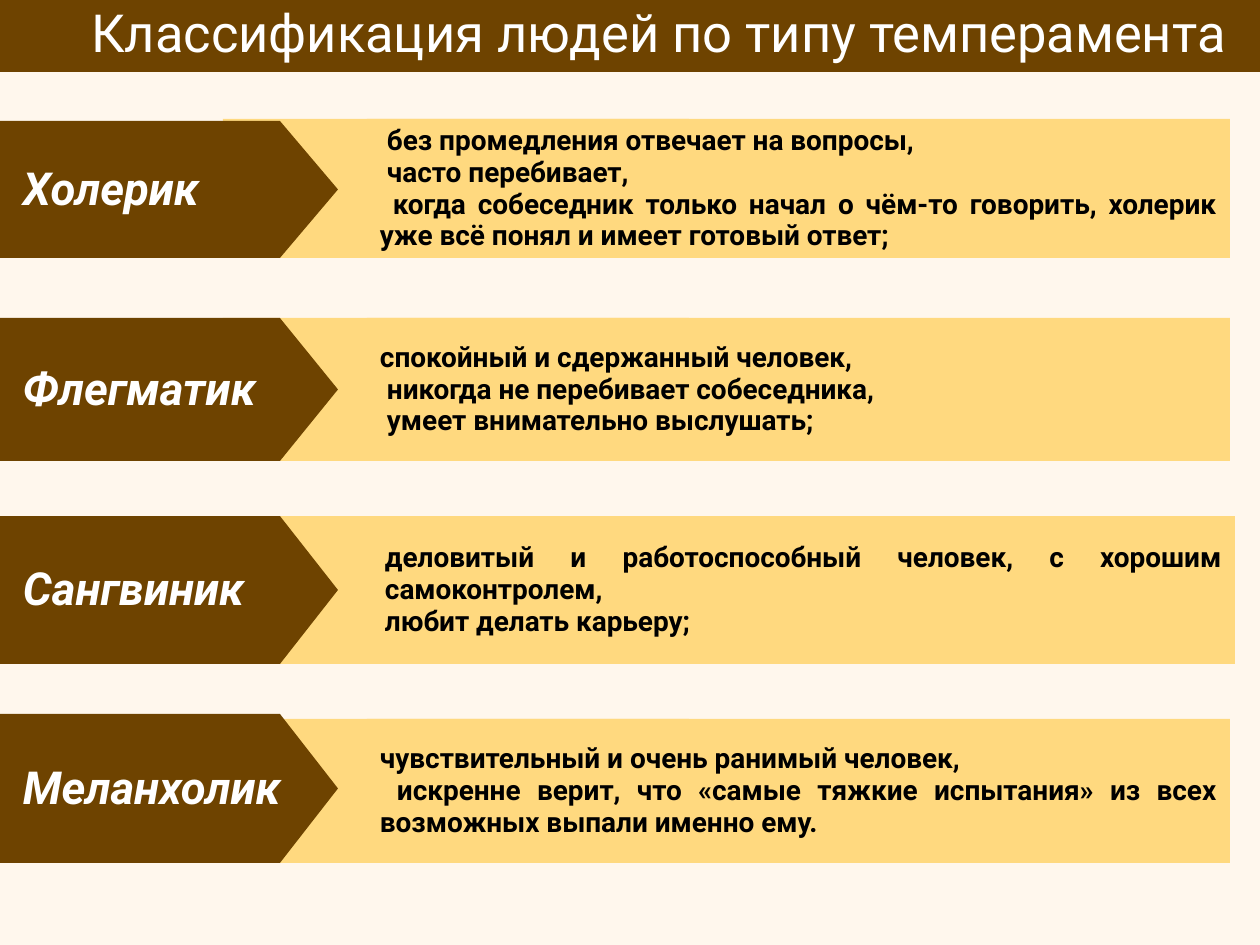
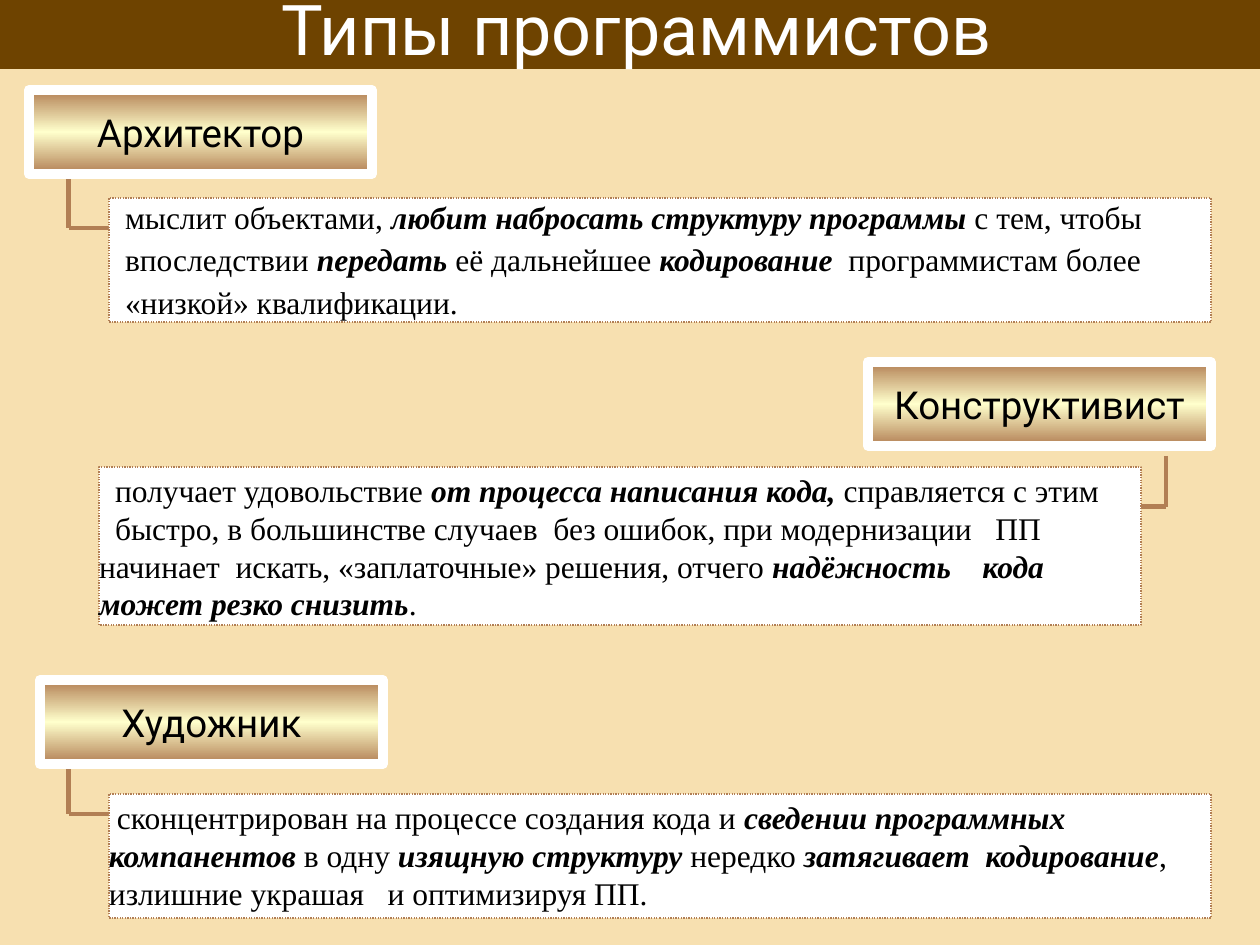
import copy

import pptx
import pptx.dml.color
import pptx.enum.dml
import pptx.enum.shapes
import pptx.enum.text
import pptx.oxml.ns
import pptx.util

ALIGN = pptx.enum.text.PP_ALIGN
ANCHOR = pptx.enum.text.MSO_ANCHOR
RECT = pptx.enum.shapes.MSO_SHAPE.RECTANGLE

WIDE, HIGH = 1260, 945
SANS, SERIF = "Roboto", "Times New Roman"
BROWN, AMBER, TAN = "6E4300", "FFD97F", "B27F54"
CREAM, SAND, PALE = "FFF7ED", "F7E0B0", "FFFFCC"
WHITE, BLACK = "FFFFFF", "000000"


def px(n):
    return pptx.util.Emu(round(n * 914400 / 126))


def rgb(code):
    return pptx.dml.color.RGBColor.from_string(code)


def paint(shape, fill):
    """Flat fill, no line, no shadow."""
    shape.shadow.inherit = False
    shape.fill.solid()
    shape.fill.fore_color.rgb = rgb(fill)
    shape.line.fill.background()


def rect(slide, box, fill):
    shape = slide.shapes.add_shape(RECT, *map(px, box))
    paint(shape, fill)
    return shape


def frame(shape, pad, anchor=ANCHOR.MIDDLE, wrap=True):
    """Set the insets (left, top, right, bottom) and anchor of the text."""
    text = shape.text_frame
    text.auto_size = pptx.enum.text.MSO_AUTO_SIZE.NONE
    text.word_wrap = wrap
    text.vertical_anchor = anchor
    (text.margin_left, text.margin_top,
     text.margin_right, text.margin_bottom) = map(px, pad)


def add_par(shape, runs, font, size, color=BLACK, align=ALIGN.LEFT,
            space=None, before=0, left=0, first=0):
    """Add a paragraph; runs are (text, bold, italic)."""
    text = shape.text_frame
    par = text.paragraphs[0]
    if par.runs:
        par = text.add_paragraph()
        par.space_before = pptx.util.Pt(before)
    par.alignment = align
    if space:
        par.line_spacing = space
    props = par._p.get_or_add_pPr()
    props.set("marL", str(px(left)))
    props.set("indent", str(px(first)))
    for words, bold, slant in runs:
        run = par.add_run()
        run.text = words
        run.font.name = font
        run.font.size = pptx.util.Pt(size)
        run.font.bold, run.font.italic = bold, slant
        run.font.color.rgb = rgb(color)


def add_slide(deck, back, title, size, top, height, left):
    """Slide with a background and a title band."""
    slide = deck.slides.add_slide(deck.slide_layouts[5])
    slide.background.fill.solid()
    slide.background.fill.fore_color.rgb = rgb(back)
    band = slide.shapes.title
    band.left, band.top, band.width, band.height = map(
        px, (0, top, WIDE, height))
    band.fill.solid()
    band.fill.fore_color.rgb = rgb(BROWN)
    frame(band, (left, 8, 14, 8))
    add_par(band, [(title, False, False)], SANS, size, WHITE,
            ALIGN.CENTER, 0.87)
    return slide


# Slide 1: arrow rows

# name, arrow top, bar left, bar top, bottom, lines (first indent, text)
ROWS = [
    ("Холерик", 121, 367, 119, 258, [
        (7, "без промедления отвечает на вопросы,"),
        (7, "часто перебивает,"),
        (13, "когда собеседник только начал о чём-то говорить, "
             "холерик уже всё понял и имеет готовый ответ;")]),
    ("Флегматик", 318, 367, 318, 461, [
        (0, "спокойный и сдержанный человек,"),
        (7, "никогда не перебивает собеседника,"),
        (7, "умеет внимательно выслушать;")]),
    ("Сангвиник", 516, 372, 516, 664, [
        (0, "деловитый и работоспособный человек, "
            "с хорошим самоконтролем,"),
        (0, "любит делать карьеру;")]),
    ("Меланхолик", 714, 367, 719, 863, [
        (0, "чувствительный и очень ранимый человек,"),
        (17, "искренне верит, что «самые тяжкие испытания» "
             "из всех возможных выпали именно ему.")]),
]


def add_arrow(slide, name, top, high):
    tip, neck = 338, 280
    pen = slide.shapes.build_freeform(0, px(top))
    points = [(neck, 0), (tip, high / 2), (neck, high), (0, high)]
    pen.add_line_segments([(px(x), px(top + y)) for x, y in points])
    arrow = pen.convert_to_shape()
    paint(arrow, BROWN)
    frame(arrow, (23, 11, 11, 11))
    add_par(arrow, [(name, True, True)], SANS, 26, WHITE, space=0.95)


def add_row(slide, name, head, left, top, low, lines):
    # Strip that joins the arrow and the bar
    rect(slide, (223, top, 466, low - top), AMBER)
    add_arrow(slide, name, head, low - head)
    bar = rect(slide, (left, top, 863, low - top), AMBER)
    frame(bar, (13, 6, 13, 6))
    for first, words in lines:
        add_par(bar, [(words, True, False)], SANS, 16,
                align=ALIGN.JUSTIFY, space=0.95, first=first)


def add_tempers(deck):
    slide = add_slide(deck, CREAM, "Классификация людей по типу темперамента",
                      30, 0, 72, 72)
    for row in ROWS:
        add_row(slide, *row)


# Slide 2: tags with notes

# name, tag corner, hook points, note box, paragraph format,
# paragraphs (plain and bold italic runs take turns)
CARDS = [
    ("Архитектор", (29, 90), [(69, 179), (69, 228), (118, 228)],
     (109, 198, 1102, 124), dict(space=0.9, before=5, left=16), [
         ["мыслит объектами, ", "любит набросать структуру программы",
          " с тем, чтобы"],
         ["впоследствии ", "передать", " её дальнейшее", " кодирование",
          "  программистам более"],
         ["«низкой» квалификации."]]),
    ("Конструктивист", (868, 362), [(1166, 456), (1166, 507), (1116, 507)],
     (99, 467, 1042, 158), dict(first=16), [
         ["получает удовольствие ", "от процесса написания кода,",
          " справляется с этим"],
         ["быстро, в большинстве случаев  без ошибок, при модернизации   "
          "ПП начинает  искать, «заплаточные» решения, отчего ",
          "надёжность    кода может резко снизить", "."]]),
    ("Художник", (40, 680), [(69, 764), (69, 814), (118, 814)],
     (109, 794, 1102, 124), dict(first=8), [
         ["сконцентрирован на процессе создания кода и ",
          "сведении программных компанентов ", "в одну ",
          "изящную структуру", " нередко ", "затягивает  кодирование",
          ", излишние украшая   и оптимизируя ПП."]]),
]


def set_line(shape, color, width):
    shape.line.color.rgb = rgb(color)
    shape.line.width = pptx.util.Pt(width)


def add_hook(slide, points):
    for start, end in zip(points, points[1:]):
        line = slide.shapes.add_connector(
            pptx.enum.shapes.MSO_CONNECTOR.STRAIGHT,
            *map(px, start + end))
        set_line(line, TAN, 2.83)
        props = line._element.spPr
        props.append(props.makeelement(pptx.oxml.ns.qn("a:effectLst"), {}))


def add_note(slide, box, form, pars):
    note = rect(slide, box, WHITE)
    set_line(note, TAN, 0.75)
    note.line.dash_style = pptx.enum.dml.MSO_LINE.ROUND_DOT
    frame(note, (0, 4, 0, 0), ANCHOR.TOP)
    for par in pars:
        runs = [(words, i % 2 == 1, i % 2 == 1)
                for i, words in enumerate(par)]
        add_par(note, runs, SERIF, 18, **form)


def add_tag(slide, name, corner):
    tag = rect(slide, corner + (343, 84), PALE)
    # Three-stop vertical gradient
    tag.fill.gradient()
    tag.fill.gradient_angle = 90
    stops = next(tag._element.spPr.iter(pptx.oxml.ns.qn("a:gsLst")))
    stops.append(copy.deepcopy(stops[0]))
    for stop, place, color in zip(tag.fill.gradient_stops, (0, 0.5, 1),
                                  (TAN, PALE, TAN)):
        stop.position = place
        stop.color.rgb = rgb(color)
    set_line(tag, WHITE, 5.67)
    frame(tag, (18, 11, 18, 11), wrap=False)
    add_par(tag, [(name, False, False)], SANS, 22, align=ALIGN.CENTER)


def add_types(deck):
    slide = add_slide(deck, SAND, "Типы программистов", 40, -2, 71, 27)
    for name, corner, hook, box, form, pars in CARDS:
        add_hook(slide, hook)
        add_note(slide, box, form, pars)
        add_tag(slide, name, corner)


def main():
    deck = pptx.Presentation()
    deck.slide_width, deck.slide_height = px(WIDE), px(HIGH)
    add_tempers(deck)
    add_types(deck)
    deck.save("out.pptx")


if __name__ == "__main__":
    main()
